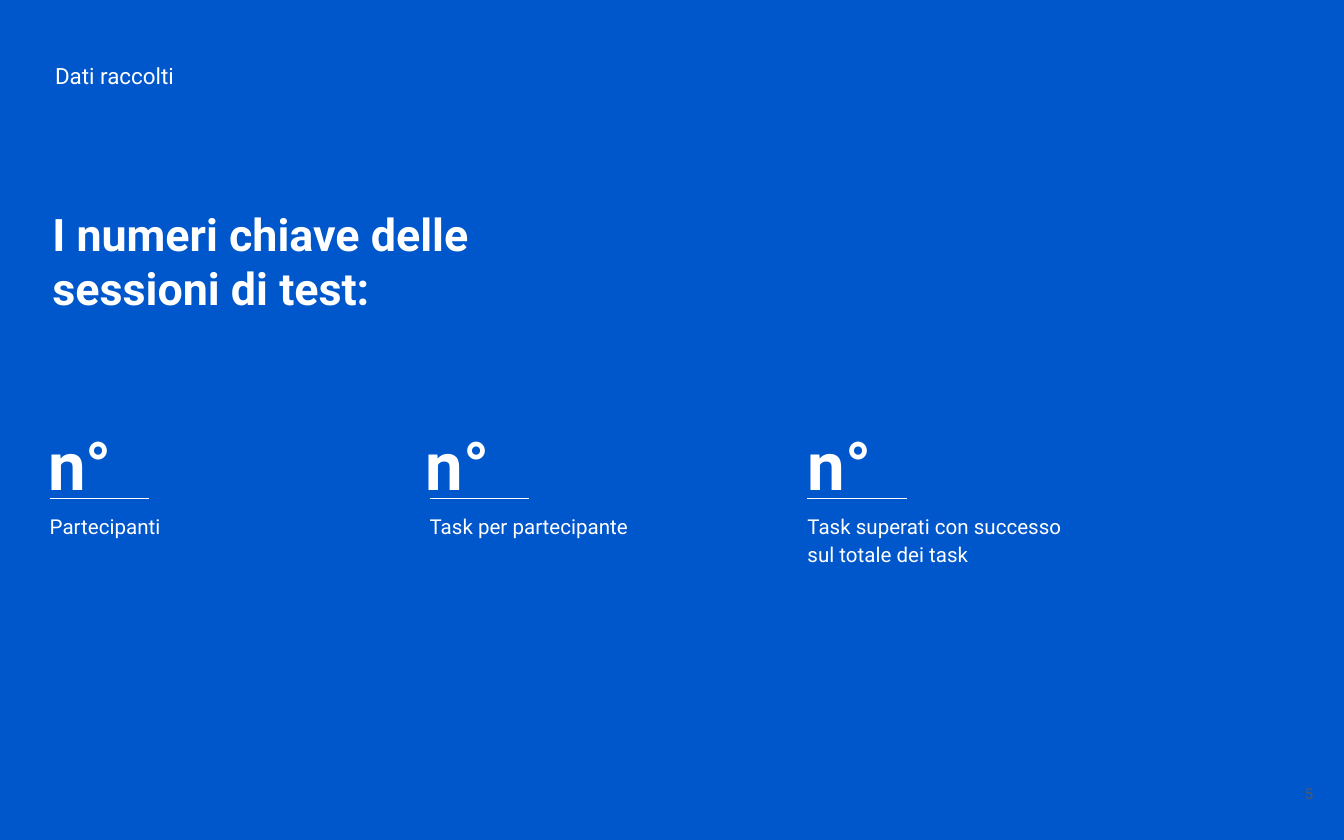
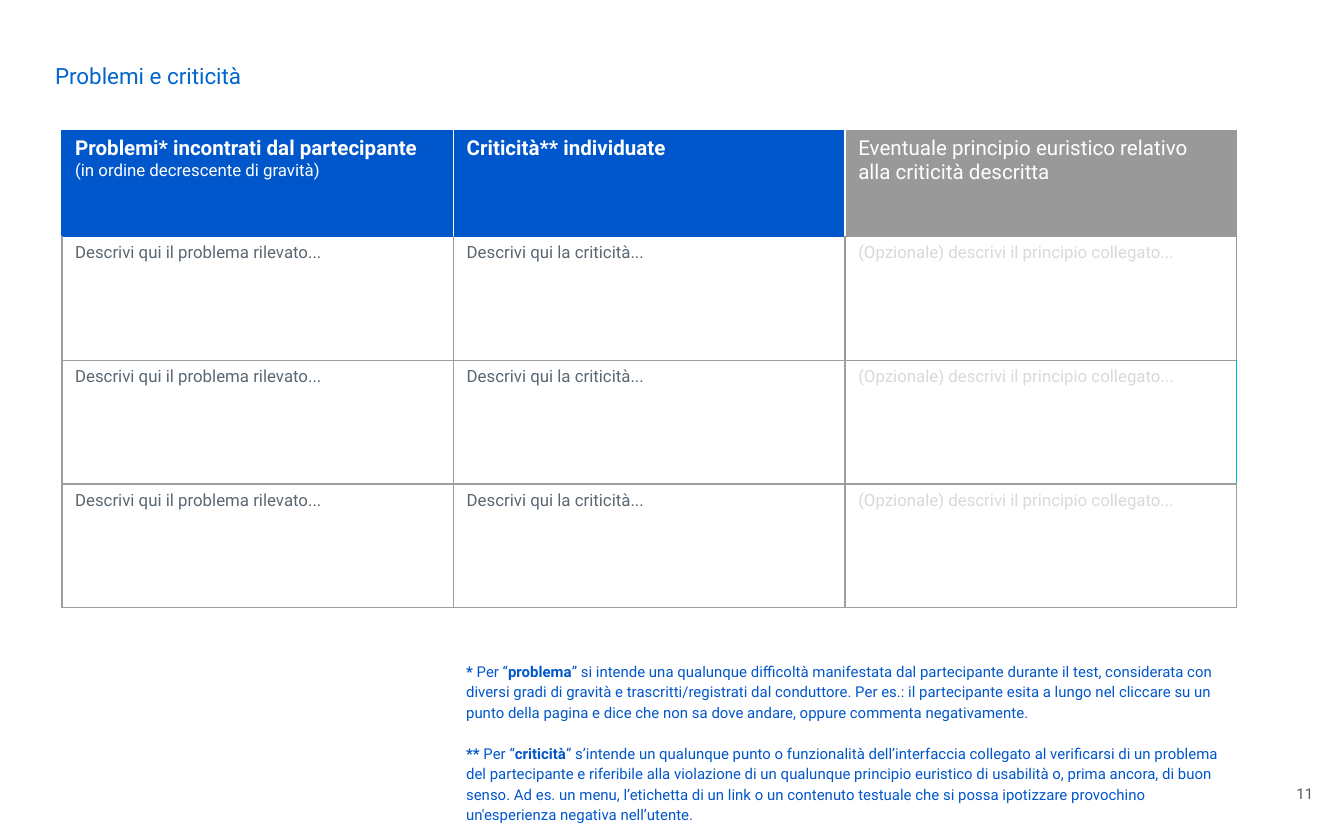
from lxml import etree
from pptx import Presentation
from pptx.dml.color import RGBColor
from pptx.enum.shapes import MSO_CONNECTOR as Conn
from pptx.enum.text import MSO_ANCHOR as Anchor, MSO_AUTO_SIZE as AutoSize, PP_ALIGN as Align
from pptx.oxml.ns import qn
from pptx.util import Cm, Pt

# Shared look
FONT = "Roboto"
BLUE, TITLE_BLUE, WHITE = "0056CB", "0066CC", "FFFFFF"
GREY, RULE, SLATE, PALE, TEAL, PAGE = "999999", "9E9E9E", "5A6772", "D9D9D9", "00B8CD", "595959"
INSET = 0.25
TITLE_BOX = (0.79, 0.99, 10.77, 0.86)
PAGE_BOX = (23.55, 14.4, 1.52, 1.22)

# Content: key numbers
HEADLINE = ["I numeri chiave delle", "sessioni di test:"]
KEY_NUMBERS = [  # number left, label box left, label width, label height, label lines
    (0.66, 0.69, 3.12, 0.99, ["Partecipanti"]),
    (7.8, 7.87, 5.89, 3.71, ["Task per partecipante"]),
    (15.01, 15.01, 5.89, 3.71, ["Task superati con successo", "sul totale dei task"]),
]
NUMBER_TOP, RULE_Y, RULE_LENGTH = 7.52, 9.42, 1.88

# Content: problems table
BOLD = {"bold": True}
HEADERS = [
    ([[("Problemi* incontrati dal partecipante", BOLD)],
      [("(in ordine decrescente di gravità)", {"size": 9})]], BLUE),
    ([[("Criticità** individuate", BOLD)]], BLUE),
    (["Eventuale principio euristico relativo \nalla criticità descritta"], GREY),
]
BODY = [
    ("Descrivi qui il problema rilevato...", SLATE),
    ("Descrivi qui la criticità...", SLATE),
    ("(Opzionale) descrivi il principio collegato...", PALE),
]
TABLE_LEFT, TABLE_TOP, COL_WIDTH = 1.17, 2.46, 7.4
ROW_HEIGHTS = [2.01, 2.34, 2.34, 2.34]
NOTES = [
    [("* ", BOLD), "Per “", ("problema", BOLD),
     "” si intende una qualunque difficoltà manifestata dal partecipante durante il test, "
     "considerata con diversi gradi di gravità e trascritti/registrati dal conduttore. Per es.: "
     "il partecipante esita a lungo nel cliccare su un punto della pagina e dice che non sa dove "
     "andare, oppure commenta negativamente."],
    [("** ", BOLD), "Per “", ("criticità", BOLD),
     "” s’intende un qualunque punto o funzionalità dell’interfaccia collegato al verificarsi di "
     "un problema del partecipante e riferibile alla violazione di un qualunque principio "
     "euristico di usabilità o, prima ancora, di buon senso. Ad es. un menu, l’etichetta di un "
     "link o un contenuto testuale che si possa ipotizzare provochino un'esperienza negativa "
     "nell’utente."],
]


def rgb(color):
    return RGBColor.from_string(color)


def write(tf, paras, color, size, bold=False, align=Align.LEFT, spacing=1.0, gap=0):
    """Fill a text frame; a paragraph is a string or a list of strings and (text, format) pairs."""
    for i, para in enumerate(paras):
        p = tf.paragraphs[0] if i == 0 else tf.add_paragraph()
        p.alignment, p.line_spacing = align, spacing
        p.space_before = Pt(gap if i else 0)
        for part in [para] if isinstance(para, str) else para:
            text, extra = (part, {}) if isinstance(part, str) else part
            fmt = {"name": FONT, "size": size, "bold": bold, **extra}
            fmt["size"] = Pt(fmt["size"])
            for n, line in enumerate(text.split("\n")):
                if n:
                    p.add_line_break()
                r = p.add_run()
                r.text = line
                for key, value in fmt.items():
                    setattr(r.font, key, value)
                r.font.color.rgb = rgb(color)


def set_frame(tf, anchor):
    frame = {"word_wrap": True, "auto_size": AutoSize.NONE, "vertical_anchor": anchor}
    frame.update({f"margin_{side}": Cm(INSET) for side in ("left", "right", "top", "bottom")})
    for key, value in frame.items():
        setattr(tf, key, value)


def add_text(s, box, paras, color, size, anchor=Anchor.TOP, **fmt):
    tf = s.shapes.add_textbox(*map(Cm, box)).text_frame
    set_frame(tf, anchor)
    write(tf, paras, color, size, **fmt)


def add_rule(s, x, y, length):
    line = s.shapes.add_connector(Conn.STRAIGHT, Cm(x), Cm(y), Cm(x + length), Cm(y))
    line.line.color.rgb = rgb(WHITE)
    line.line.width = Pt(0.75)
    etree.SubElement(line._element.spPr, qn("a:effectLst"))


def new_slide(prs, title, title_color, background, page):
    s = prs.slides.add_slide(prs.slide_layouts[5])
    s.background.fill.solid()
    s.background.fill.fore_color.rgb = rgb(background)
    sp = s.shapes.title
    sp.left, sp.top, sp.width, sp.height = map(Cm, TITLE_BOX)
    set_frame(sp.text_frame, Anchor.MIDDLE)
    write(sp.text_frame, [title], title_color, 12)
    add_text(s, PAGE_BOX, [page], PAGE, 8, Anchor.MIDDLE, align=Align.RIGHT)
    return s


def set_borders(cell, colors):
    """Draw the left, right, top and bottom edges in the given colours."""
    tc_pr = cell._tc.get_or_add_tcPr()
    for i, (side, color) in enumerate(zip("LRTB", colors)):
        ln = etree.Element(qn(f"a:ln{side}"), w=str(Pt(0.75)))
        fill = etree.SubElement(ln, qn("a:solidFill"))
        etree.SubElement(fill, qn("a:srgbClr"), val=color)
        tc_pr.insert(i, ln)


def border_colors(row, col):
    last = col == 2
    if row == 0:
        edge = HEADERS[col][1]
        return (WHITE if col else edge, edge if last else WHITE, edge, edge)
    if row == 1:
        rule = GREY if last else RULE
        return (GREY if last else RULE, GREY if col else RULE, HEADERS[col][1], rule)
    if row == 2 and last:
        return RULE, TEAL, GREY, RULE
    return (RULE,) * 4


def key_numbers_slide(prs):
    s = new_slide(prs, "Dati raccolti", WHITE, BLUE, "5")
    add_text(s, (0.74, 3.66, 12.45, 2.44), HEADLINE, WHITE, 24, bold=True)
    for number_left, left, width, height, label in KEY_NUMBERS:
        add_text(s, (number_left, NUMBER_TOP, 3.12, 1.6), ["n°"], WHITE, 36,
                 bold=True, spacing=1.15)
        add_rule(s, left + INSET, RULE_Y, RULE_LENGTH)
        add_text(s, (left, 9.4, width, height), label, WHITE, 11, spacing=1.15)


def problems_slide(prs):
    s = new_slide(prs, "Problemi e criticità", TITLE_BLUE, WHITE, "11")
    rows, cols = len(ROW_HEIGHTS), len(HEADERS)
    table = s.shapes.add_table(rows, cols, Cm(TABLE_LEFT), Cm(TABLE_TOP),
                               Cm(COL_WIDTH * cols), Cm(sum(ROW_HEIGHTS))).table
    table.first_row = table.horz_banding = False
    for col in table.columns:
        col.width = Cm(COL_WIDTH)
    for i, height in enumerate(ROW_HEIGHTS):
        table.rows[i].height = Cm(height)
        for j in range(cols):
            cell = table.cell(i, j)
            cell.margin_left = cell.margin_right = Cm(INSET)
            cell.margin_top = cell.margin_bottom = Cm(INSET / 2)
            header, fill = HEADERS[j]
            text, color = BODY[j]
            cell.fill.solid()
            cell.fill.fore_color.rgb = rgb(WHITE if i else fill)
            if i:
                write(cell.text_frame, [text], color, 9)
            else:
                write(cell.text_frame, header, WHITE, 11)
            set_borders(cell, border_colors(i, j))
    # Definitions under the table
    add_text(s, (8.56, 12.22, 14.81, 1.57), NOTES, BLUE, 8, spacing=1.15, gap=11)


def main():
    prs = Presentation()
    prs.slide_width, prs.slide_height = Cm(25.4), Cm(15.88)
    key_numbers_slide(prs)
    problems_slide(prs)
    prs.save("out.pptx")


if __name__ == "__main__":
    main()
